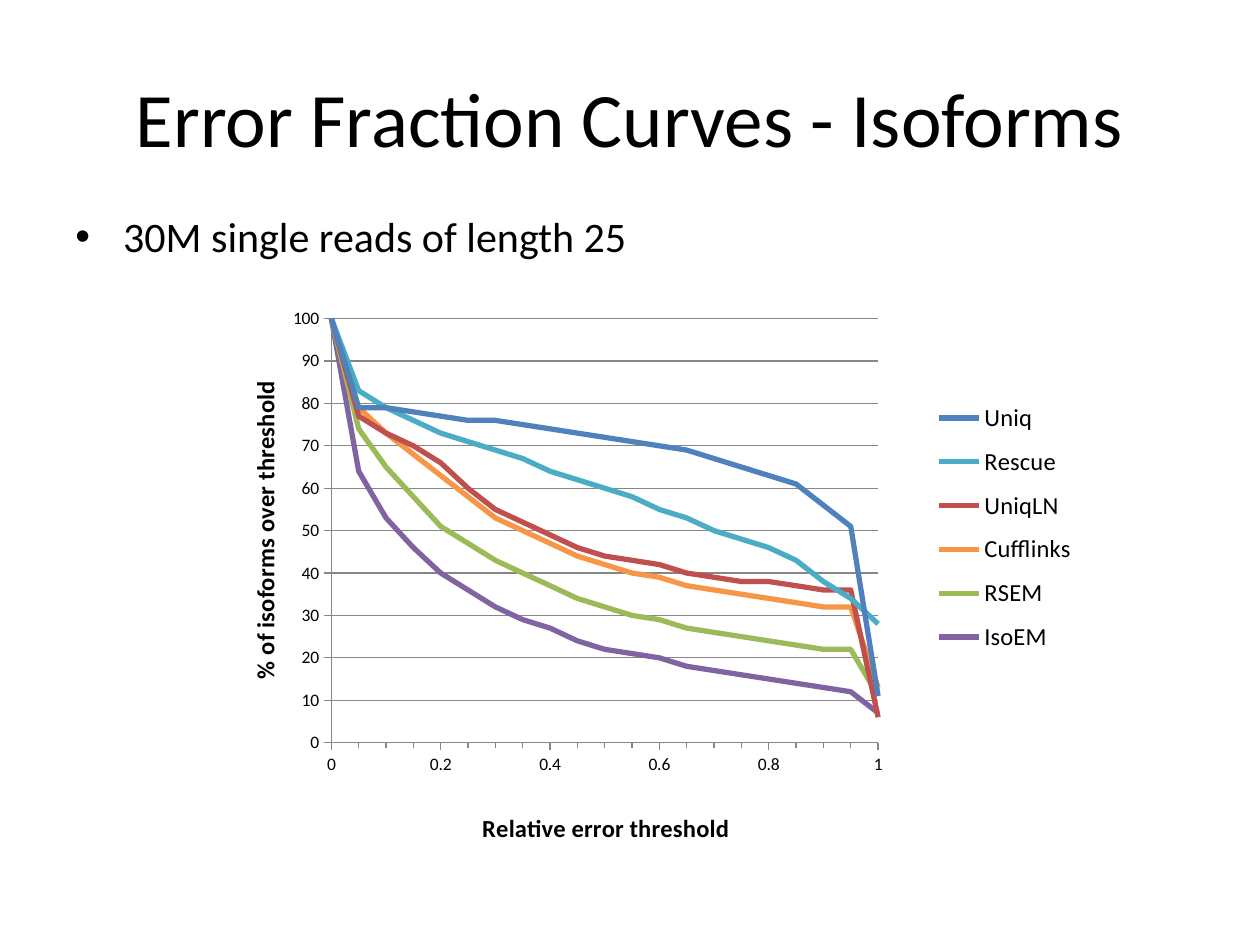
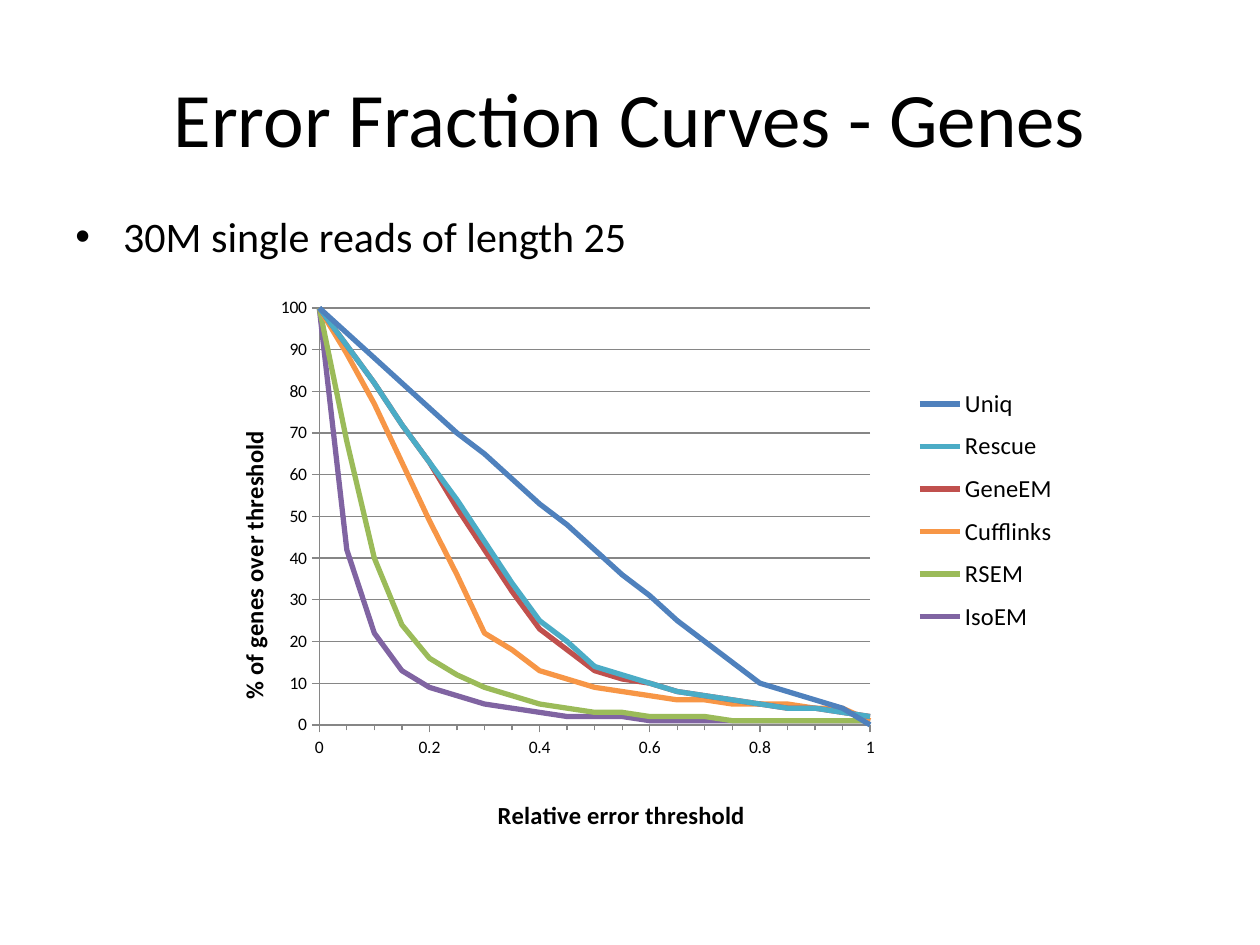
from lxml import etree
from pptx import Presentation
from pptx.chart.data import XyChartData
from pptx.dml.color import RGBColor
from pptx.enum.chart import XL_CHART_TYPE, XL_LEGEND_POSITION, XL_TICK_MARK
from pptx.enum.text import MSO_ANCHOR, PP_ALIGN
from pptx.oxml.ns import qn
from pptx.util import Inches, Pt

FONT = "Calibri"
BLACK = RGBColor(0x00, 0x00, 0x00)
AXIS_GREY = RGBColor(0x86, 0x86, 0x86)
BLUE = RGBColor(0x4F, 0x81, 0xBD)
TEAL = RGBColor(0x4B, 0xAC, 0xC6)
RED = RGBColor(0xC0, 0x50, 0x4D)
ORANGE = RGBColor(0xF7, 0x96, 0x46)
GREEN = RGBColor(0x9B, 0xBB, 0x59)
PURPLE = RGBColor(0x80, 0x64, 0xA2)
METHOD_COLORS = [BLUE, TEAL, RED, ORANGE, GREEN, PURPLE]

THRESHOLD_STEP = 0.05
LEGEND_PLACE = (0.8, 0.2, 0.18, 0.43)

# Every curve starts at 100 %. Its values are given at the bends, counted in
# threshold steps; the steps between two bends are interpolated.
# Chart boxes are in inches; the places inside a chart are fractions of its box.
PAGES = [
    {
        "subject": "Isoforms",
        "body_height": 5.21,
        "chart_box": (1.08, 2.07, 7.75, 5.1),
        "plot": (0.2, 0.09, 0.56, 0.66),
        "x_title": (0.35, 0.85),
        "y_title": (0.11, 0.18),
        "bends": [1, 2, 4, 6, 9, 13, 17, 19, 20],
        "curves": {
            "Uniq": [79, 79, 77, 76, 73, 69, 61, 51, 11],
            "Rescue": [83, 79, 73, 69, 62, 53, 43, 34, 28],
            "UniqLN": [77, 73, 66, 55, 46, 40, 37, 36, 6],
            "Cufflinks": [79, 73, 63, 53, 44, 37, 33, 32, 13],
            "RSEM": [74, 65, 51, 43, 34, 27, 23, 22, 11],
            "IsoEM": [64, 53, 40, 32, 24, 18, 14, 12, 7],
        },
    },
    {
        "subject": "Genes",
        "body_height": 0.55,
        "chart_box": (1, 2, 7.67, 4.94),
        "plot": (0.2, 0.09, 0.57, 0.67),
        "x_title": (0.38, 0.87),
        "y_title": (0.11, 0.28),
        "bends": [1, 2, 3, 4, 6, 8, 10, 13, 16, 19, 20],
        "curves": {
            "Uniq": [94, 88, 82, 76, 65, 53, 42, 25, 10, 4, 0],
            "Rescue": [91, 82, 72, 63, 44, 25, 14, 8, 5, 3, 2],
            "GeneEM": [91, 82, 72, 63, 42, 23, 13, 8, 5, 3, 2],
            "Cufflinks": [89, 77, 63, 49, 22, 13, 9, 6, 5, 4, 1],
            "RSEM": [68, 40, 24, 16, 9, 5, 3, 2, 1, 1, 1],
            "IsoEM": [42, 22, 13, 9, 5, 3, 2, 1, 1, 1, 1],
        },
    },
]


def add_text(slide, text, box, size, align=PP_ALIGN.LEFT, anchor=MSO_ANCHOR.TOP, bullet=False):
    frame = slide.shapes.add_textbox(*map(Inches, box)).text_frame
    frame.word_wrap = True
    frame.vertical_anchor = anchor
    paragraph = frame.paragraphs[0]
    paragraph.text = text
    paragraph.alignment = align
    if bullet:
        properties = paragraph._p.get_or_add_pPr()
        properties.set("marL", str(Inches(0.38)))
        properties.set("indent", str(Inches(-0.38)))
        etree.SubElement(properties, qn("a:buFont"), typeface="Arial")
        etree.SubElement(properties, qn("a:buChar"), char="•")
    paragraph.font.name = FONT
    paragraph.font.size = Pt(size)
    paragraph.font.color.rgb = BLACK


def place_in_chart(element, fractions, inner=False):
    """Give a title, legend or plot area a manual layout: x, y and optionally w, h."""
    for old_layout in element.findall(qn("c:layout")):
        element.remove(old_layout)
    layout = etree.Element(qn("c:layout"))
    manual = etree.SubElement(layout, qn("c:manualLayout"))
    if inner:
        etree.SubElement(manual, qn("c:layoutTarget"), val="inner")
    for mode in ("xMode", "yMode"):
        etree.SubElement(manual, qn(f"c:{mode}"), val="edge")
    for side, fraction in zip("xywh", fractions):
        etree.SubElement(manual, qn(f"c:{side}"), val=str(fraction))
    overlay = element.find(qn("c:overlay"))
    follower = element[0] if overlay is None else overlay
    follower.addprevious(layout)


prs = Presentation()
prs.slide_width = Inches(10)
prs.slide_height = Inches(7.5)

for page in PAGES:
    slide = prs.slides.add_slide(prs.slide_layouts[6])
    add_text(slide, f"Error Fraction Curves - {page['subject']}", (0.5, 0.3, 9, 1.25), 44,
             align=PP_ALIGN.CENTER, anchor=MSO_ANCHOR.MIDDLE)
    add_text(slide, "30M single reads of length 25", (0.5, 1.62, 9, page["body_height"]), 24,
             bullet=True)

    curves = XyChartData()
    for method, percentages in page["curves"].items():
        curve = curves.add_series(method)
        curve.add_data_point(0, 100)
        last_step, last_share = 0, 100
        for bend, share in zip(page["bends"], percentages):
            slope = (share - last_share) / (bend - last_step)
            for step in range(last_step + 1, bend + 1):
                curve.add_data_point(round(step * THRESHOLD_STEP, 2),
                                     round(last_share + slope * (step - last_step)))
            last_step, last_share = bend, share

    chart = slide.shapes.add_chart(XL_CHART_TYPE.XY_SCATTER_LINES_NO_MARKERS,
                                   *map(Inches, page["chart_box"]), curves).chart
    chart.has_title = False
    chart.font.name = FONT
    chart.font.size = Pt(10)
    chart.font.color.rgb = BLACK
    chart.plots[0].vary_by_categories = False
    for series, color in zip(chart.plots[0].series, METHOD_COLORS):
        series.smooth = False
        series.format.line.width = Pt(3)
        series.format.line.color.rgb = color

    error_axis, share_axis = chart.category_axis, chart.value_axis
    for axis, title, title_place, top, major in (
        (error_axis, "Relative error threshold", page["x_title"], 1, 0.2),
        (share_axis, f"% of {page['subject'].lower()} over threshold", page["y_title"], 100, 10),
    ):
        axis.minimum_scale = 0
        axis.maximum_scale = top
        axis.major_unit = major
        axis.major_tick_mark = XL_TICK_MARK.OUTSIDE
        axis.minor_tick_mark = XL_TICK_MARK.NONE
        axis.format.line.color.rgb = AXIS_GREY
        axis.tick_labels.number_format = "General"
        axis.tick_labels.number_format_is_linked = False
        axis_title = axis.axis_title
        axis_title.text_frame.text = title
        title_font = axis_title.text_frame.paragraphs[0].font
        title_font.name = FONT
        title_font.size = Pt(14)
        title_font.bold = True
        title_font.color.rgb = BLACK
        place_in_chart(axis_title._element, title_place)
    error_axis.has_major_gridlines = False
    error_axis.minor_unit = THRESHOLD_STEP
    error_axis.minor_tick_mark = XL_TICK_MARK.OUTSIDE
    share_axis.has_major_gridlines = True
    share_axis.major_gridlines.format.line.color.rgb = AXIS_GREY

    chart.has_legend = True
    chart.legend.position = XL_LEGEND_POSITION.RIGHT
    chart.legend.include_in_layout = False
    chart.legend.font.name = FONT
    chart.legend.font.size = Pt(14)
    chart.legend.font.color.rgb = BLACK
    place_in_chart(chart.legend._element, LEGEND_PLACE)
    place_in_chart(chart._chartSpace.chart.plotArea, page["plot"], inner=True)

prs.save("out.pptx")
